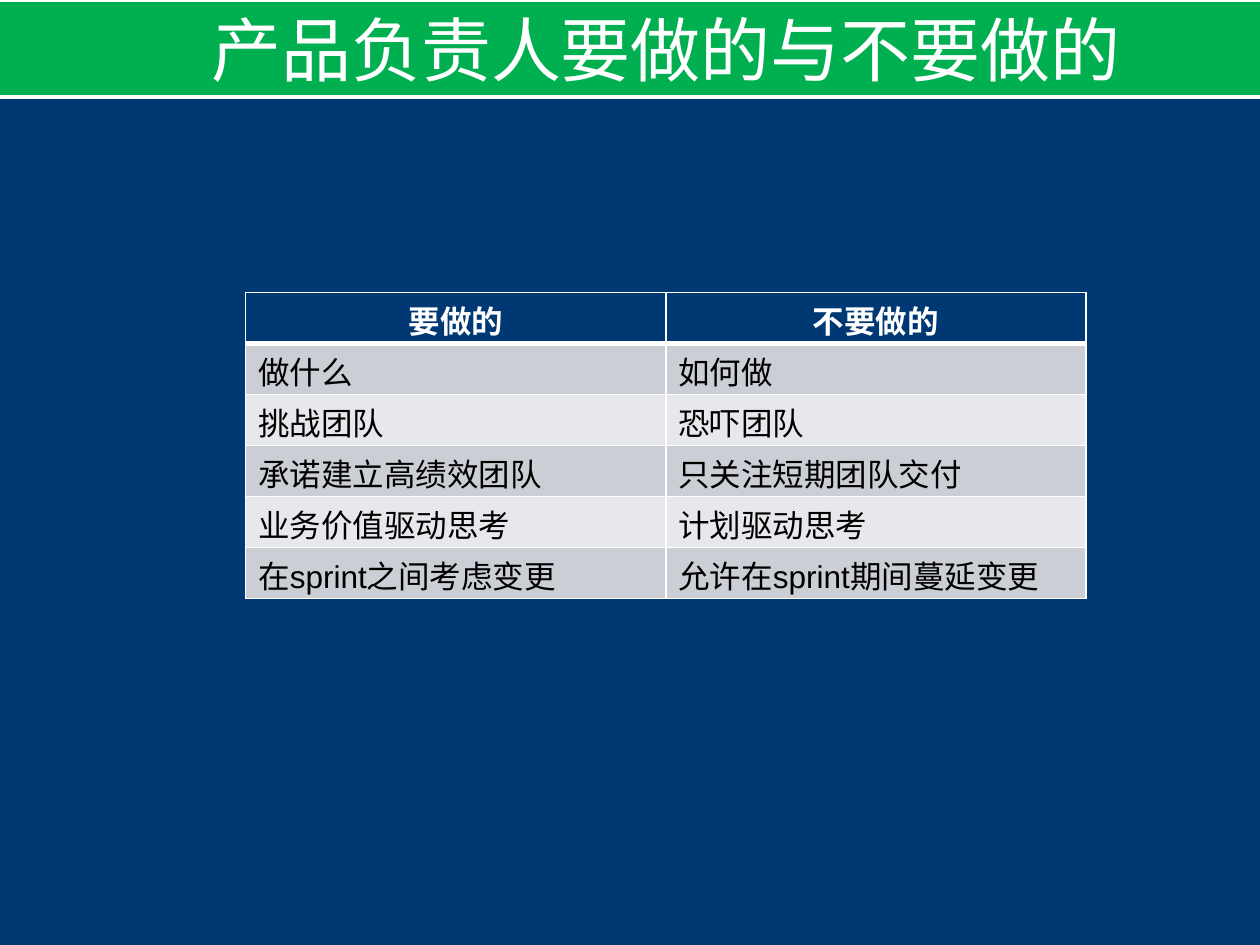
from lxml import etree
from pptx import Presentation
from pptx import util as u
from pptx.dml.color import RGBColor
from pptx.enum import shapes, text
from pptx.oxml import ns

NAVY = RGBColor(0x00, 0x38, 0x73)
GREEN = RGBColor(0x00, 0xB0, 0x50)
WHITE = RGBColor(0xFF, 0xFF, 0xFF)
BLACK = RGBColor(0x00, 0x00, 0x00)
GREY = RGBColor(0xCC, 0xCE, 0xD5)
PALE = RGBColor(0xE7, 0xE8, 0xEB)

ROWS = [
    ("要做的", "不要做的"),
    ("做什么", "如何做"),
    ("挑战团队", "恐吓团队"),
    ("承诺建立高绩效团队", "只关注短期团队交付"),
    ("业务价值驱动思考", "计划驱动思考"),
    ("在sprint之间考虑变更", "允许在sprint期间蔓延变更"),
]


def apply(item, values):
    for name, value in values.items():
        setattr(item, name, value)


def paint(item, color):
    item.fill.solid()
    item.fill.fore_color.rgb = color


def write(frame, words, align, color, size, bold=False):
    para = frame.paragraphs[0]
    para.alignment = align
    run = para.add_run()
    run.text = words
    apply(run.font, {"name": "Arial", "size": u.Pt(size), "bold": bold})
    run.font.color.rgb = color


def add_title(slide, words):
    title = slide.shapes.title
    apply(title, {"left": u.Inches(1.54), "top": u.Inches(0),
                  "width": u.Inches(7.49), "height": u.Inches(0.77)})
    frame = title.text_frame
    apply(frame, {"word_wrap": False, "auto_size": text.MSO_AUTO_SIZE.NONE,
                  "vertical_anchor": text.MSO_ANCHOR.MIDDLE})
    write(frame, words, text.PP_ALIGN.CENTER, WHITE, 40)
    return title


def add_band(slide, title):
    band = slide.shapes.add_shape(
        shapes.MSO_SHAPE.RECTANGLE, u.Inches(-0.27), u.Inches(0),
        u.Inches(10.62), u.Inches(0.77))
    band.shadow.inherit = False
    paint(band, GREEN)
    band.line.color.rgb = WHITE
    band.line.width = u.Pt(2)
    title.element.addprevious(band.element)


def add_edge(cell, side, width):
    props = cell._tc.get_or_add_tcPr()
    line = etree.SubElement(props, ns.qn("a:ln" + side), w=str(u.Pt(width)))
    fill = etree.SubElement(line, ns.qn("a:solidFill"))
    etree.SubElement(fill, ns.qn("a:srgbClr"), val=str(WHITE))


def add_grid(slide):
    frame = slide.shapes.add_table(
        len(ROWS), 2, u.Inches(1.95), u.Inches(2.32),
        u.Inches(6.67), u.Inches(2.43))
    table = frame.table
    for r, row in enumerate(ROWS):
        head = r == 0
        shade = NAVY if head else GREY if r % 2 else PALE
        align = text.PP_ALIGN.CENTER if head else text.PP_ALIGN.LEFT
        color = WHITE if head else BLACK
        edges = {"L": 1, "R": 1, "T": 3 if r == 1 else 1, "B": 3 if head else 1}
        for c, words in enumerate(row):
            cell = table.cell(r, c)
            apply(cell, {"margin_top": u.Inches(0.04), "margin_bottom": 0})
            for side, width in edges.items():
                add_edge(cell, side, width)
            paint(cell, shade)
            write(cell.text_frame, words, align, color, 18, head)


def main():
    deck = Presentation()
    apply(deck, {"slide_width": u.Inches(10), "slide_height": u.Inches(7.5)})
    slide = deck.slides.add_slide(deck.slide_layouts[5])
    paint(slide.background, NAVY)
    title = add_title(slide, "产品负责人要做的与不要做的")
    add_band(slide, title)
    add_grid(slide)
    deck.save("out.pptx")


main()
